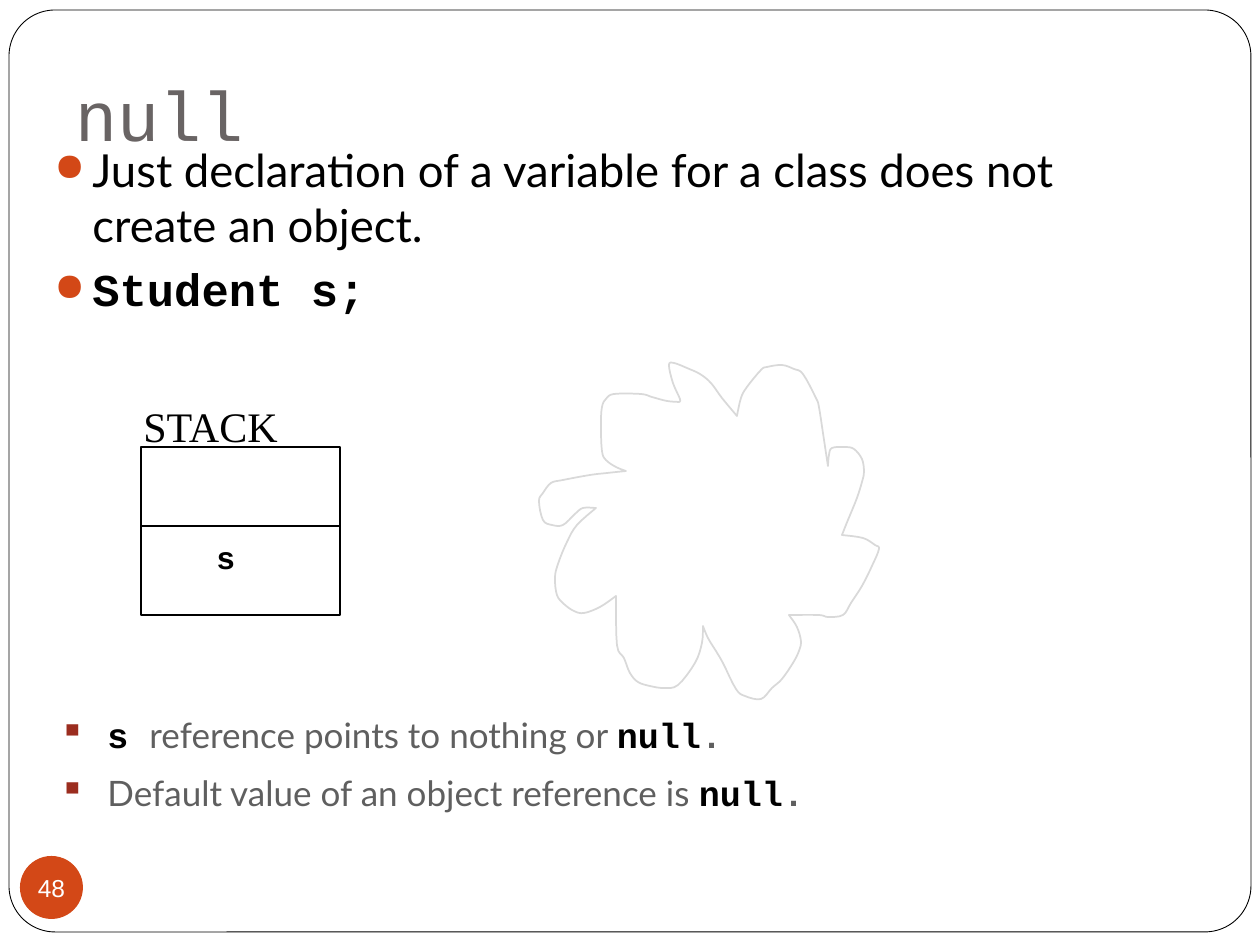
import lxml.etree
import pptx
import pptx.dml.color
import pptx.enum.shapes
import pptx.enum.text
import pptx.oxml.ns
import pptx.util

RGB = pptx.dml.color.RGBColor
BLACK, WHITE = RGB(0, 0, 0), RGB(255, 255, 255)
TITLE, GRAY, PALE = RGB(0x69, 0x64, 0x64), RGB(0x5F, 0x5F, 0x5F), RGB(0xD9, 0xD9, 0xD9)
ORANGE, RED = RGB(0xD3, 0x48, 0x17), RGB(0x9B, 0x2D, 0x1F)
KIND = pptx.enum.shapes.MSO_SHAPE
ALIGN = pptx.enum.text.PP_ALIGN
ANCHOR = pptx.enum.text.MSO_ANCHOR
FIT = pptx.enum.text.MSO_AUTO_SIZE
PX = 914400 / 126

# Text formats
HEAD = dict(size=40, name="Courier New", color=TITLE)
MAIN = dict(size=26, name="Lato", color=BLACK)
CODE = dict(size=26, name="Courier New", color=BLACK, bold=True)
NOTE = dict(size=20, name="Lato", color=GRAY)
WORD = dict(CODE, size=20)
STOP = dict(WORD, color=GRAY)
NAME = dict(CODE, size=18)
STACK = dict(size=24, name="Times New Roman", color=BLACK)
PAGE = dict(size=14, name="Arial", color=WHITE)

# Content: each paragraph is a list of (text, format) runs
TOP = [
    [("Just declaration of a variable for a class does not create an object.", MAIN)],
    [("Student s;", CODE)],
]
END = [
    [("s ", WORD), ("reference points to nothing or ", NOTE), ("null", WORD), (".", STOP)],
    [("Default value of an object reference is ", NOTE), ("null", WORD), (".", STOP)],
]
LISTS = [
    ((42, 136, 1134, 242), TOP, dict(char="●", color=ORANGE, size=85, indent=38, before=5.8, line=1.0)),
    ((47, 699, 1176, 156), END, dict(char="▪", color=RED, size=100, indent=48, before=4, line=1.2)),
]
LABELS = [
    ((131, 394, 164, 63), "STACK", STACK),
    ((204, 532, 44, 50), "s", NAME),
]

# Flower outline: each petal runs up to a sharp notch, where the next begins
START = (596, 508)
PETALS = [
    [(577, 525), (567, 542), (558, 564), (555, 578), (557, 595), (564, 604), (574, 611),
     (584, 613), (600, 607), (616, 596)],
    [(617, 645), (624, 658), (630, 673), (638, 682), (650, 686), (664, 688), (678, 685),
     (695, 663), (702, 643), (703, 626)],
    [(708, 638), (716, 651), (723, 663), (736, 689), (745, 696), (761, 699), (772, 688),
     (782, 679), (793, 663), (799, 651), (801, 641), (797, 627), (789, 615)],
    [(819, 615), (828, 617), (843, 615), (851, 603), (862, 586), (872, 566), (879, 549),
     (875, 545), (863, 538), (842, 535)],
    [(848, 520), (857, 498), (862, 482), (864, 472), (862, 459), (854, 449), (845, 447),
     (832, 448), (829, 455), (828, 466)],
    [(823, 433), (819, 407), (816, 398), (803, 374), (794, 369), (782, 365), (767, 367),
     (761, 370), (747, 387), (741, 398), (737, 416)],
    [(722, 398), (711, 383), (700, 374), (687, 368), (674, 363), (669, 365), (673, 383),
     (680, 399), (679, 402)],
    [(667, 401), (652, 397), (641, 394), (614, 394), (606, 399), (602, 407), (601, 425),
     (602, 451), (606, 460), (616, 467), (626, 471)],
    [(607, 473), (590, 475), (563, 480), (551, 483), (543, 493), (539, 501), (543, 520),
     (552, 525), (563, 525), (575, 514), (583, 508), START],
]


def emu(*vals):
    return [round(v * PX) for v in vals]


def sub(node, tag, **attrs):
    return lxml.etree.SubElement(node, pptx.oxml.ns.qn(tag), attrs)


def write(par, runs):
    for text, form in runs:
        run = par.add_run()
        run.text = text
        for key, val in form.items():
            if key == "color":
                run.font.color.rgb = val
            else:
                setattr(run.font, key, pptx.util.Pt(val) if key == "size" else val)


def style(shape, fill=None, line=None, width=0.75):
    shape.shadow.inherit = False
    for part, color in ((shape.fill, fill), (shape.line.fill, line)):
        if color is None:
            part.background()
        else:
            part.solid()
            part.fore_color.rgb = color
    if line is not None:
        shape.line.width = pptx.util.Pt(width)


def bullet(par, look):
    props = par._p.get_or_add_pPr()
    props.set("marL", str(emu(look["indent"])[0]))
    props.set("indent", str(emu(-look["indent"])[0]))
    sub(sub(props, "a:buClr"), "a:srgbClr", val=str(look["color"]))
    sub(props, "a:buSzPct", val=str(look["size"] * 1000))
    sub(props, "a:buChar", char=look["char"])
    par.line_spacing = look["line"]


def smooth(pts, steps=4):
    """Catmull-Rom curve through the points, without the first one."""
    ends = [pts[0]] + pts + [pts[-1]]
    for a, b, c, d in zip(ends, ends[1:], ends[2:], ends[3:]):
        for i in range(1, steps + 1):
            t = i / steps
            yield tuple(
                (2 * q + (r - p) * t + (2 * p - 5 * q + 4 * r - s) * t**2
                 + (3 * q - p - 3 * r + s) * t**3) / 2
                for p, q, r, s in zip(a, b, c, d))


def main():
    deck = pptx.Presentation()
    deck.slide_width, deck.slide_height = emu(1260, 945)
    slide = deck.slides.add_slide(deck.slide_layouts[5])
    shapes = slide.shapes

    # Page frame, sent behind the title
    frame = shapes.add_shape(KIND.ROUNDED_RECTANGLE, *emu(9, 10, 1242, 922))
    frame.adjustments[0] = 0.05
    style(frame, WHITE, BLACK, 0.5)
    title = shapes.title
    title._element.addprevious(frame._element)

    # Title
    title.left, title.top, title.width, title.height = emu(63, 10, 1134, 158)
    box = title.text_frame
    forms = dict(vertical_anchor=ANCHOR.BOTTOM, auto_size=FIT.NONE,
                 margin_bottom=pptx.util.Inches(0.1))
    for key, val in forms.items():
        setattr(box, key, val)
    box.paragraphs[0].alignment = ALIGN.LEFT
    write(box.paragraphs[0], [("null", HEAD)])

    # Page number
    disc = shapes.add_shape(KIND.OVAL, *emu(20, 856, 63, 63))
    style(disc, ORANGE)
    box = disc.text_frame
    forms = dict(margin_left=0, margin_right=0, margin_top=0, margin_bottom=0,
                 word_wrap=False, vertical_anchor=ANCHOR.MIDDLE)
    for key, val in forms.items():
        setattr(box, key, val)
    box.paragraphs[0].alignment = ALIGN.CENTER
    write(box.paragraphs[0], [("48", PAGE)])

    # Bullet lists
    for place, items, look in LISTS:
        box = shapes.add_textbox(*emu(*place)).text_frame
        box.word_wrap = True
        for i, runs in enumerate(items):
            par = box.add_paragraph() if i else box.paragraphs[0]
            bullet(par, look)
            if i:
                par.space_before = pptx.util.Pt(look["before"])
            write(par, runs)

    # Stack with its two cells
    style(shapes.add_shape(KIND.RECTANGLE, *emu(141, 447, 199, 168)), line=BLACK)
    rule = shapes.add_connector(pptx.enum.shapes.MSO_CONNECTOR.STRAIGHT, *emu(141, 526, 340, 526))
    rule.line.color.rgb = BLACK
    rule.line.width = pptx.util.Pt(0.75)
    sub(rule._element.spPr, "a:effectLst")

    # Flower
    pen = shapes.build_freeform(*emu(*START), scale=1.0)
    notch = START
    for petal in PETALS:
        pen.add_line_segments([emu(*pt) for pt in smooth([notch] + petal)], close=False)
        notch = petal[-1]
    pen.add_line_segments([], close=True)
    style(pen.convert_to_shape(), line=PALE, width=1)

    # Stack labels
    for place, text, form in LABELS:
        box = shapes.add_textbox(*emu(*place)).text_frame
        box.word_wrap = False
        box.auto_size = FIT.SHAPE_TO_FIT_TEXT
        write(box.paragraphs[0], [(text, form)])

    deck.save("out.pptx")


if __name__ == "__main__":
    main()
